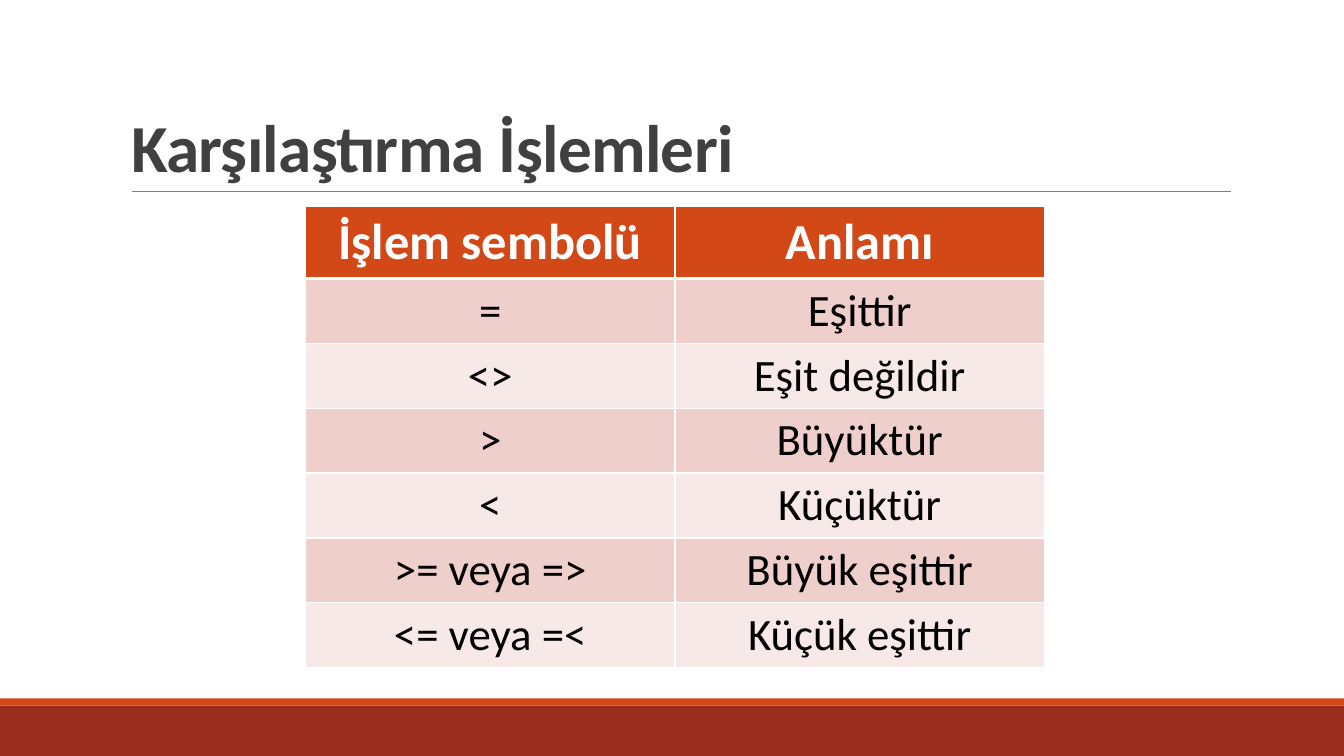
import pptx
import pptx.util
import pptx.dml.color
import pptx.enum.shapes
import pptx.enum.text
import pptx.oxml
import pptx.oxml.ns
import pptx.oxml.xmlchemy
from pptx.util import Inches

COLORS = {
    "band": "9B2D1F", "accent": "D34817", "rule": "808080", "title": "404040",
    "white": "FFFFFF", "black": "000000", "odd": "EFCFCC", "even": "F7E9E8",
}
ROWS = [
    ("İşlem sembolü", "Anlamı"),
    ("=", "Eşittir"),
    ("<>", "Eşit değildir"),
    (">", "Büyüktür"),
    ("<", "Küçüktür"),
    (">= veya =>", "Büyük eşittir"),
    ("<= veya =<", "Küçük eşittir"),
]


def rgb(name):
    return pptx.dml.color.RGBColor.from_string(COLORS[name])


def style(p, size, color, bold):
    f = p.runs[0].font
    f.name = "Calibri"
    f.size = pptx.util.Pt(size)
    f.bold = bold
    f.color.rgb = rgb(color)


prs = pptx.Presentation()
prs.slide_width = Inches(13.33)
prs.slide_height = Inches(7.5)
s = prs.slides.add_slide(prs.slide_layouts[5])

for top, height, color in [(7, 0.5, "band"), (6.93, 0.07, "accent")]:
    sp = s.shapes.add_shape(pptx.enum.shapes.MSO_SHAPE.RECTANGLE,
                            0, Inches(top), prs.slide_width, Inches(height))
    sp.shadow.inherit = False
    sp.fill.solid()
    sp.fill.fore_color.rgb = rgb(color)
    sp.line.fill.background()

rule = s.shapes.add_connector(pptx.enum.shapes.MSO_CONNECTOR.STRAIGHT,
                              Inches(1.31), Inches(1.9), Inches(12.21), Inches(1.9))
rule.line.color.rgb = rgb("rule")
rule.line.width = pptx.util.Pt(0.5)
rule._element.spPr.append(pptx.oxml.xmlchemy.OxmlElement("a:effectLst"))

title = s.shapes.title
title.left, title.top = Inches(1.2), Inches(0.31)
title.width, title.height = Inches(11), Inches(1.59)
tf = title.text_frame
tf.text = "Karşılaştırma İşlemleri"
tf.word_wrap = True
tf.auto_size = pptx.enum.text.MSO_AUTO_SIZE.NONE
tf.vertical_anchor = pptx.enum.text.MSO_ANCHOR.BOTTOM
p = tf.paragraphs[0]
p.alignment = pptx.enum.text.PP_ALIGN.LEFT
p.line_spacing = 0.85
style(p, 48, "title", True)
p.runs[0]._r.get_or_add_rPr().set("spc", "-50")

table = s.shapes.add_table(len(ROWS), 2, Inches(3.03), Inches(2.05),
                           Inches(7.33), Inches(4.55)).table
for i, texts in enumerate(ROWS):
    header = i == 0
    table.rows[i].height = Inches(0.71 if header else 0.64)
    for j, text in enumerate(texts):
        cell = table.cell(i, j)
        cell.text = text
        cell.vertical_anchor = pptx.enum.text.MSO_ANCHOR.MIDDLE
        p = cell.text_frame.paragraphs[0]
        p.alignment = pptx.enum.text.PP_ALIGN.CENTER
        style(p, 36 if header else 32, "white" if header else "black", header)
        widths = {"L": 1, "R": 1, "T": 3 if i == 1 else 1, "B": 3 if header else 1}
        for side, width in widths.items():
            ln = pptx.oxml.parse_xml(
                f'<a:ln{side} {pptx.oxml.ns.nsdecls("a")} w="{pptx.util.Pt(width)}">'
                f'<a:solidFill><a:srgbClr val="{COLORS["white"]}"/></a:solidFill></a:ln{side}>')
            cell._tc.get_or_add_tcPr().append(ln)
        cell.fill.solid()
        cell.fill.fore_color.rgb = rgb("accent" if header else "odd" if i % 2 else "even")

prs.save("out.pptx")
